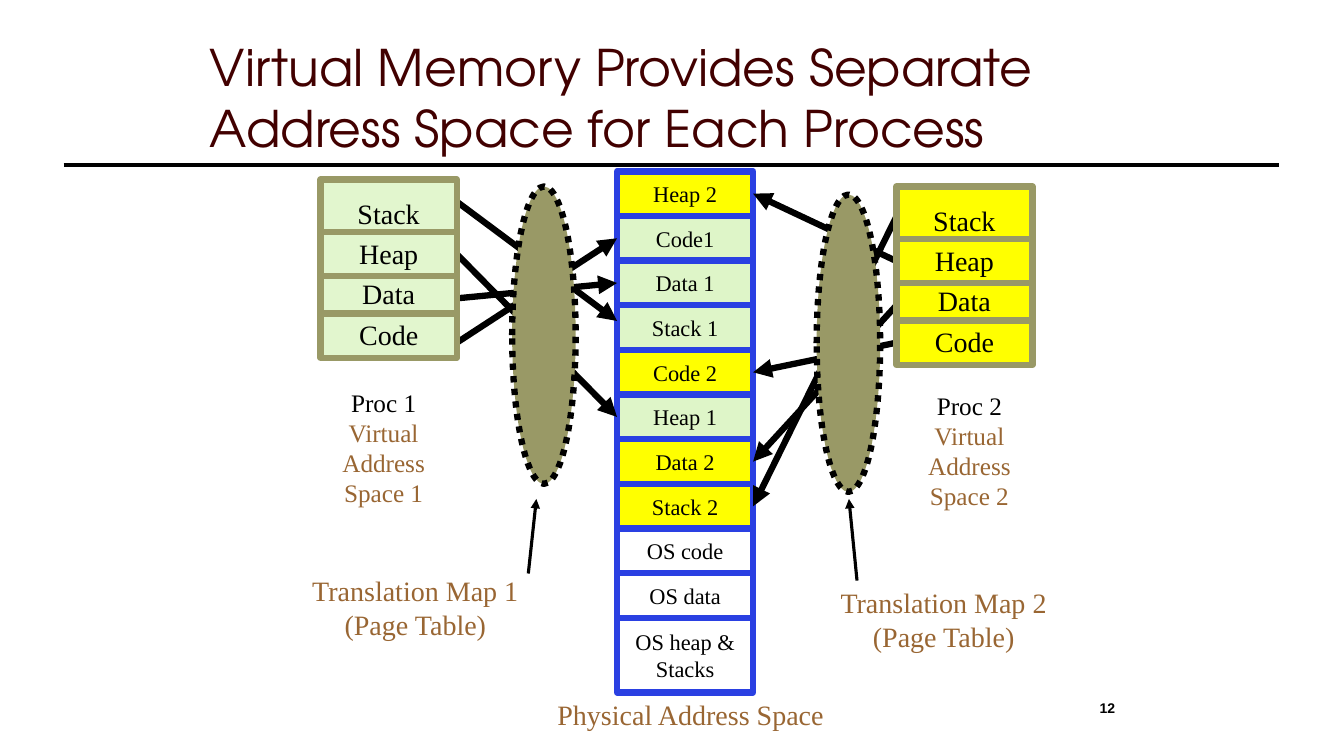
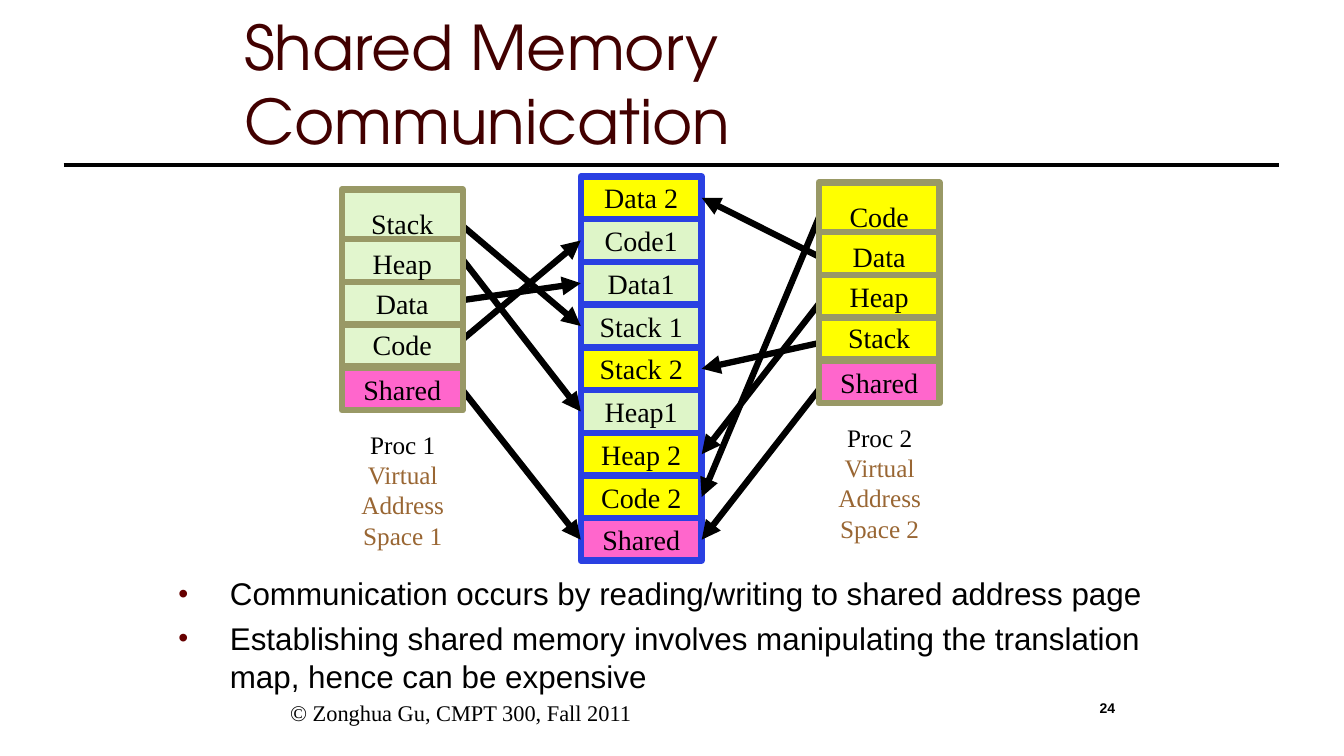
from pptx import Presentation
from pptx.dml.color import RGBColor
from pptx.enum.dml import MSO_LINE as Dash
from pptx.enum.shapes import MSO_CONNECTOR, MSO_SHAPE as Kind
from pptx.enum.text import MSO_ANCHOR as Anchor, MSO_AUTO_SIZE as Fit, PP_ALIGN as Align
from pptx.oxml.ns import qn
from pptx.oxml.xmlchemy import OxmlElement as Node
from pptx.util import Inches, Pt

HUES = {
    "ink": "000000", "white": "FFFFFF", "title": "420000", "bullet": "660000",
    "brown": "996633", "olive": "999966", "blue": "2A40E2", "green": "E2F6CE",
    "mint": "DEF5C8", "yellow": "FFFF00", "pink": "FF66CC",
}
SERIF, SANS, HEAD = "Times New Roman", "Arial", "TeX Gyre Adventor"
ZERO = (0, 0, 0, 0)
EDGE = 4.5

SLIDES = [
    {
        "layout": 5, "number": "12",
        "title": "Virtual Memory Provides Separate Address Space for Each Process",
        "area": (1.98, 0.51, 9.52, 1.1), "size": 36,
        "left": 6.12, "top": 1.7, "width": 1.35, "pitch": 0.443, "text": 16,
        "cells": ["Heap 2", "Code1", "Data 1", "Stack 1", "Code 2", "Heap 1",
                  "Data 2", "Stack 2", "OS code", "OS data", "OS heap &\nStacks"],
        "other": "white", "tall": 0.74,
        # start x, start y, row of the memory cell the arrow reaches
        "arrows": [(4.53, 2, 2.85), (4.53, 2.52, 5), (4.53, 2.96, 2), (4.53, 3.4, 1),
                   (8.89, 2.15, 7), (8.89, 2.59, 0), (8.89, 3.03, 6), (8.89, 3.4, 4)],
        "height": 1.77, "rules": [0.52, 0.96, 1.33], "shared": False,
        "procs": [(3.18, 1.78, "green", "Stack\nHeap\nData\nCode", 3.29, 3.79),
                  (8.89, 1.85, "yellow", "Stack\nHeap\nData\nCode", 9.1, 3.82)],
    },
    {
        "layout": 1, "number": "24",
        "title": "Shared Memory Communication",
        "area": (2.32, 0.86, 7.83, 0.75), "size": 44,
        "left": 5.76, "top": 1.75, "width": 1.2, "pitch": 0.424, "text": 20,
        "cells": ["Data 2", "Code1", "Data1", "Stack 1", "Stack 2", "Heap1",
                  "Heap 2", "Code 2", "Shared"],
        "other": "pink", "tall": 0.42,
        "arrows": [(4.35, 2.04, 3), (4.43, 2.37, 5), (4.36, 3.01, 2), (4.43, 3.5, 1),
                   (4.58, 3.86, 8), (8.18, 2.02, 7), (8.23, 2.6, 0), (8.18, 2.94, 6),
                   (8.23, 3.38, 4), (8.18, 3.79, 8)],
        "height": 2.17, "rules": [0.49, 0.92, 1.34, 1.75], "shared": True,
        "procs": [(3.39, 1.88, "green", "Stack\nHeap\nData\nCode", 3.48, 4.21),
                  (8.12, 1.81, "yellow", "Code\nData\nHeap\nStack", 8.21, 4.14)],
    },
]


def rgb(name):
    return RGBColor.from_string(HUES[name])


def style(shape, area, text="", fill=None, edge=None, dash=None, size=20, hue="ink",
          first=None, font=SERIF, bold=False, align=Align.CENTER, anchor=Anchor.TOP,
          wrap=False, space=None, gap=0, bullet=None):
    """Place a shape, paint it and write one paragraph for each line of text."""
    shape.left, shape.top, shape.width, shape.height = map(Inches, area)
    if fill:
        shape.shadow.inherit = False
        shape.fill.solid()
        shape.fill.fore_color.rgb = rgb(fill)
        shape.line.color.rgb = rgb(edge)
        shape.line.width = Pt(EDGE)
        if dash:
            shape.line.dash_style = dash
    if not text:
        return
    frame = shape.text_frame
    frame.word_wrap, frame.auto_size = wrap, Fit.NONE
    frame.vertical_anchor = anchor
    for i, words in enumerate(text.split("\n")):
        para = frame.add_paragraph() if i else frame.paragraphs[0]
        para.text, para.alignment = words, align
        para.space_before = Pt(gap if i else 0)
        if space:
            para.line_spacing = space
        if bullet:
            props = para._p.get_or_add_pPr()
            props.set("marL", str(Inches(0.51)))
            props.set("indent", str(-Inches(0.51)))
            tint, scale, mark = Node("a:buClr"), Node("a:buSzPct"), Node("a:buChar")
            color = Node("a:srgbClr")
            color.set("val", HUES["bullet"])
            tint.append(color)
            scale.set("val", "90000")
            mark.set("char", bullet)
            props.extend([tint, scale, mark])
        para.font.name, para.font.size, para.font.bold = font, Pt(size), bold
        para.font.color.rgb = rgb(first if first and not i else hue)


def line(shapes, start, end, hue="ink", width=EDGE, arrow=False):
    link = shapes.add_connector(MSO_CONNECTOR.STRAIGHT, *map(Inches, start + end))
    link.line.color.rgb = rgb(hue)
    link.line.width = Pt(width)
    props = link._element.spPr
    if arrow:
        tip = Node("a:tailEnd")
        tip.set("type", "triangle")
        props.find(qn("a:ln")).append(tip)
    props.append(Node("a:effectLst"))


deck = Presentation()
deck.slide_width, deck.slide_height = Inches(13.33), Inches(7.5)
pages = []

for data in SLIDES:
    page = deck.slides.add_slide(deck.slide_layouts[data["layout"]])
    pages.append(page)
    shapes = page.shapes
    line(shapes, (0.63, 1.64), (12.69, 1.64), width=3)
    style(shapes.title, data["area"], data["title"], size=data["size"], hue="title",
          font=HEAD, align=Align.LEFT, anchor=Anchor.BOTTOM, wrap=True)
    style(shapes.add_textbox(*ZERO), (8.83, 6.89, 2.33, 0.5), data["number"],
          size=10, font=SANS, bold=True, align=Align.RIGHT, wrap=True)

    # Physical memory
    left, top, width, pitch = (data[key] for key in ("left", "top", "width", "pitch"))
    cells = data["cells"]
    for row, name in enumerate(cells):
        tall = data["tall"] if row == len(cells) - 1 else pitch
        fill = {"1": "mint", "2": "yellow"}.get(name[-1], data["other"])
        style(shapes.add_shape(Kind.RECTANGLE, *ZERO),
              (left, top + row * pitch, width, tall), name, fill=fill, edge="blue",
              size=data["text"], anchor=Anchor.MIDDLE)
    for x, y, row in data["arrows"]:
        side = left if x < left else left + width
        line(shapes, (x, y), (side, top + (row + 0.5) * pitch), arrow=True)

    # Virtual address spaces
    for i, (x, y, fill, names, capx, capy) in enumerate(data["procs"], 1):
        style(shapes.add_shape(Kind.RECTANGLE, *ZERO), (x, y, width, data["height"]),
              fill=fill, edge="olive")
        for drop in data["rules"]:
            line(shapes, (x, y + drop), (x + width, y + drop), hue="olive")
        if data["shared"]:
            style(shapes.add_shape(Kind.RECTANGLE, *ZERO), (x, y + 1.77, width, 0.42),
                  "Shared", fill="pink", edge="olive", anchor=Anchor.MIDDLE)
        style(shapes.add_textbox(*ZERO), (x, y + 0.05, width, 1.68), names, space=1.2)
        style(shapes.add_textbox(*ZERO), (capx, capy, 1.03, 1.31),
              f"Proc {i}\nVirtual\nAddress\nSpace {i}", size=18, hue="brown", first="ink")

# Translation maps
shapes = pages[0].shapes
maps = [(5.08, 1.85, 2.99, 5.64, (5.24, 5.69), (5.32, 4.95)),
        (8.1, 1.93, 8.23, 5.76, (8.5, 5.76), (8.42, 4.95))]
for i, (x, y, capx, capy, start, end) in enumerate(maps, 1):
    style(shapes.add_shape(Kind.OVAL, *ZERO), (x, y, 0.63, 2.95),
          fill="olive", edge="ink", dash=Dash.ROUND_DOT)
    style(shapes.add_textbox(*ZERO), (capx, capy, 2.26, 0.77),
          f"Translation Map {i}\n(Page Table)", hue="brown")
    line(shapes, start, end, width=2.25, arrow=True)
style(shapes.add_textbox(*ZERO), (5.42, 6.87, 2.86, 0.44),
      "Physical Address Space", hue="brown")

# Notes on sharing
style(pages[1].placeholders[1], (1.67, 5.65, 10, 1.46),
      "Communication occurs by reading/writing to shared address page\n"
      "Establishing shared memory involves manipulating the translation map, "
      "hence can be expensive",
      size=22.4, font=SANS, align=Align.LEFT, wrap=True, gap=5, bullet="•")
style(pages[1].shapes.add_textbox(*ZERO), (2.17, 6.89, 4.8, 0.5),
      "© Zonghua Gu, CMPT 300, Fall 2011", size=16, wrap=True)

deck.save("out.pptx")
